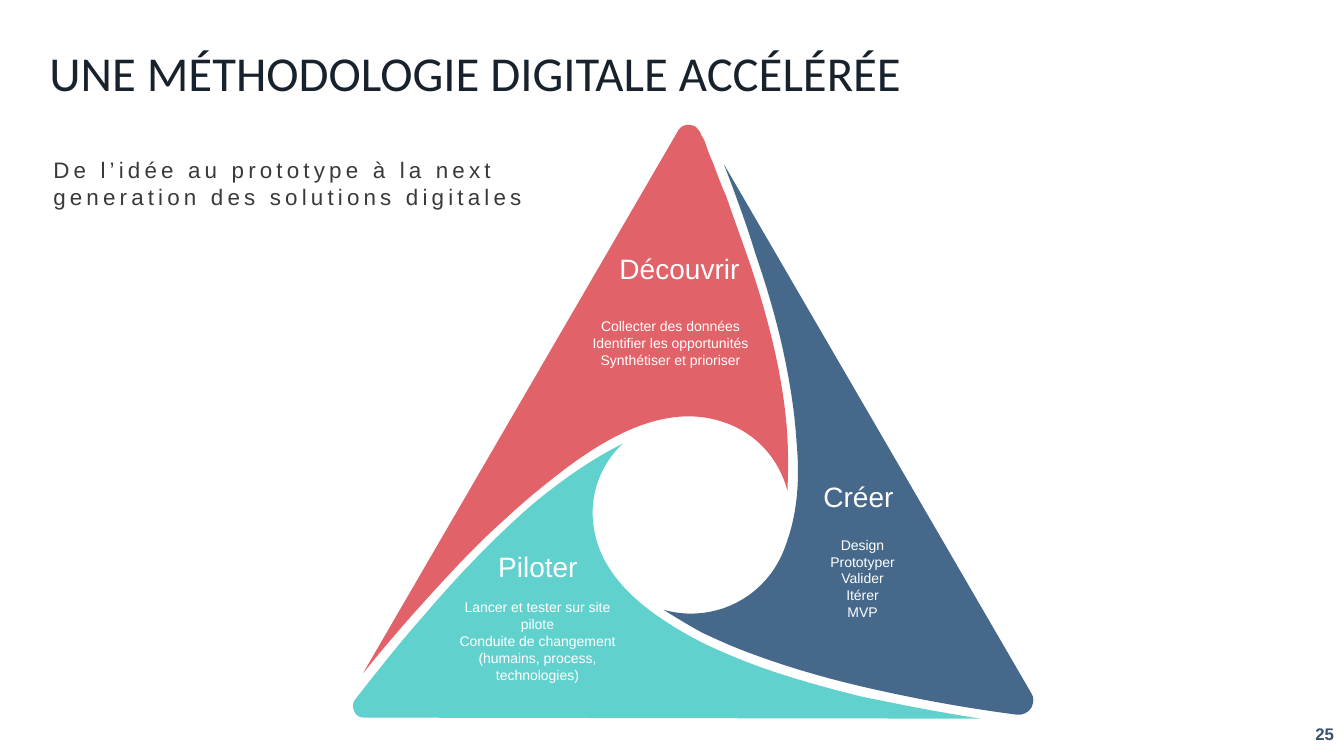
from lxml.etree import Element
from pptx import Presentation
from pptx.dml.color import RGBColor
from pptx.enum.text import MSO_ANCHOR as Anchor, MSO_AUTO_SIZE as AutoSize, PP_ALIGN as Align
from pptx.oxml.ns import qn
from pptx.util import Inches, Pt

COLORS = {
    "discover": "E16268", "create": "45688B", "pilot": "61D1CE",
    "white": "FFFFFF", "title": "17222C", "subtitle": "3B3838", "number": "36526E",
}
COLUMNS, ROWS = 13.33, 7.5
CELL = Inches(1)

# Each blade is a start point, then lines (x, y) and cubic curves (x1, y1, x2, y2, x, y).
BLADES = {
    "discover": [
        (6.92, 1.28),
        (6.94, 1.3, 6.95, 1.32, 6.96, 1.35), (6.98, 1.37, 6.99, 1.4, 7, 1.43),
        (7.02, 1.49, 7.04, 1.55, 7.07, 1.61), (7.11, 1.72, 7.15, 1.83, 7.2, 1.94),
        (7.28, 2.17, 7.36, 2.39, 7.44, 2.62), (7.61, 3.13, 7.75, 3.66, 7.8, 4.2),
        (7.82, 4.42, 7.82, 4.64, 7.81, 4.87), (7.73, 4.56, 7.51, 4.31, 7.21, 4.2),
        (6.63, 3.98, 6.03, 4.32, 5.53, 4.71), (5.35, 4.85, 5.18, 4.99, 5.01, 5.15),
        (4.84, 5.3, 4.68, 5.46, 4.52, 5.63), (4.2, 5.97, 3.89, 6.32, 3.6, 6.68),
        (6.73, 1.29),
        (6.75, 1.26, 6.79, 1.23, 6.84, 1.24), (6.87, 1.24, 6.9, 1.25, 6.92, 1.28),
    ],
    "create": [
        (7.18, 1.63),
        (7.29, 1.92, 7.4, 2.21, 7.49, 2.51), (7.59, 2.8, 7.68, 3.1, 7.75, 3.4),
        (7.82, 3.71, 7.88, 4.05, 7.9, 4.38), (7.93, 4.7, 7.92, 5.04, 7.81, 5.36),
        (7.76, 5.52, 7.68, 5.67, 7.56, 5.79), (7.31, 6.05, 6.93, 6.15, 6.58, 6.05),
        (6.71, 6.13, 6.84, 6.21, 6.97, 6.28), (7.1, 6.34, 7.23, 6.4, 7.36, 6.45),
        (7.8, 6.62, 8.26, 6.75, 8.72, 6.85), (9.17, 6.95, 9.62, 7.03, 10.08, 7.09),
        (10.14, 7.1, 10.2, 7.07, 10.23, 7.02), (10.25, 6.98, 10.26, 6.92, 10.23, 6.88),
        (7.18, 1.63),
    ],
    "pilot": [
        (6.18, 4.4),
        (5.93, 4.63, 5.83, 4.97, 5.9, 5.29), (5.98, 5.68, 6.29, 5.97, 6.64, 6.19),
        (6.87, 6.34, 7.11, 6.45, 7.36, 6.55), (7.74, 6.7, 8.14, 6.81, 8.54, 6.91),
        (8.93, 6.99, 9.33, 7.07, 9.73, 7.13),
        (3.61, 7.12),
        (3.56, 7.12, 3.52, 7.09, 3.51, 7.05), (3.49, 7.01, 3.5, 6.96, 3.53, 6.93),
        (3.75, 6.65, 3.97, 6.37, 4.21, 6.1), (4.5, 5.76, 4.81, 5.43, 5.14, 5.13),
        (5.3, 4.98, 5.47, 4.85, 5.65, 4.72), (5.82, 4.6, 6, 4.49, 6.18, 4.4),
    ],
}

# Heading, its box, the activities and their box.
PHASES = [
    ("Découvrir", (6.11, 2.47, 1.26, 0.39),
     ["Collecter des données", "Identifier les opportunités", "Synthétiser et prioriser"],
     (5.83, 3.12, 1.64, 0.56)),
    ("Créer", (8.1, 4.73, 0.83, 0.39),
     ["Design", "Prototyper", "Valider", "Itérer", "MVP"],
     (7.82, 5.29, 1.47, 0.9)),
    ("Piloter", (4.91, 5.42, 0.85, 0.39),
     ["Lancer et tester sur site pilote",
      "Conduite de changement (humains, process, technologies)"],
     (4.52, 5.91, 1.62, 0.9)),
]


class SlideBuilder:
    """Draws on one slide; lengths are columns and rows of its grid."""

    def __init__(self, slide):
        self.slide = slide
        self.shapes = slide.shapes

    def start_group(self):
        self.shapes = self.slide.shapes.add_group_shape().shapes

    def end_group(self):
        self.shapes = self.slide.shapes

    def blade(self, outline, color):
        """Draw the outline through its end points, then bend the curved segments."""
        outline = [tuple(round(part * CELL) for part in segment) for segment in outline]
        ends = [segment[-2:] for segment in outline]
        builder = self.shapes.build_freeform(*ends[0], scale=1.0)
        builder.add_line_segments(ends[1:], close=True)
        blade = builder.convert_to_shape()
        left, top = (min(values) for values in zip(*ends))
        lines = list(blade._element.iter(qn("a:lnTo")))
        for line, segment in zip(lines, outline[1:]):
            if len(segment) == 6:
                line.tag = qn("a:cubicBezTo")
                for index in (0, 1):
                    x, y = segment[2 * index:2 * index + 2]
                    line.insert(index, Element(qn("a:pt"), x=str(x - left), y=str(y - top)))
        blade.fill.solid()
        blade.fill.fore_color.rgb = RGBColor.from_string(COLORS[color])
        blade.line.fill.background()
        blade.shadow.inherit = False

    def text(self, lines, box, size, color, font="Arial", align=Align.LEFT,
             anchor=Anchor.TOP, wrap=True, inset=None, bold=False, grow=True, **run_marks):
        """Add a text box; run_marks are extra run attributes such as spc or baseline."""
        frame = self.shapes.add_textbox(*(round(part * CELL) for part in box)).text_frame
        frame.word_wrap = wrap
        frame.vertical_anchor = anchor
        frame.auto_size = AutoSize.SHAPE_TO_FIT_TEXT if grow else AutoSize.NONE
        if inset is not None:
            frame.margin_left = frame.margin_right = round(inset * CELL)
            frame.margin_top = frame.margin_bottom = round(inset * CELL)
        for index, line in enumerate(lines):
            paragraph = frame.add_paragraph() if index else frame.paragraphs[0]
            paragraph.alignment = align
            run = paragraph.add_run()
            run.text = line
            run.font.name = font
            run.font.size = Pt(size)
            run.font.bold = bold
            run.font.color.rgb = RGBColor.from_string(COLORS[color])
            for mark, value in run_marks.items():
                run.font._element.set(mark, str(value))


def main():
    deck = Presentation()
    deck.slide_width = round(COLUMNS * CELL)
    deck.slide_height = round(ROWS * CELL)
    page = SlideBuilder(deck.slides.add_slide(deck.slide_layouts[6]))

    page.start_group()
    for phase, outline in BLADES.items():
        page.blade(outline, phase)
    for heading, heading_box, activities, activities_box in PHASES:
        page.text([heading], heading_box, 20, "white", align=Align.CENTER,
                  anchor=Anchor.MIDDLE, wrap=False, inset=0.03)
        page.text(activities, activities_box, 10, "white", align=Align.CENTER, inset=0.03)
    page.end_group()

    page.text(["UNE MÉTHODOLOGIE DIGITALE ACCÉLÉRÉE"], (0.46, 0.31, 11.98, 0.73), 60,
              "title", font="Calibri", anchor=Anchor.MIDDLE, inset=0.03, baseline=12000)
    page.text(["De l’idée au prototype à la next generation des solutions digitales"],
              (0.43, 1.5, 5.39, 0.64), 16, "subtitle", spc=300)
    page.text(["25"], (12.76, 7.05, 0.57, 0.45), 12, "number", align=Align.RIGHT,
              anchor=Anchor.MIDDLE, bold=True, grow=False)
    deck.save("out.pptx")


if __name__ == "__main__":
    main()
